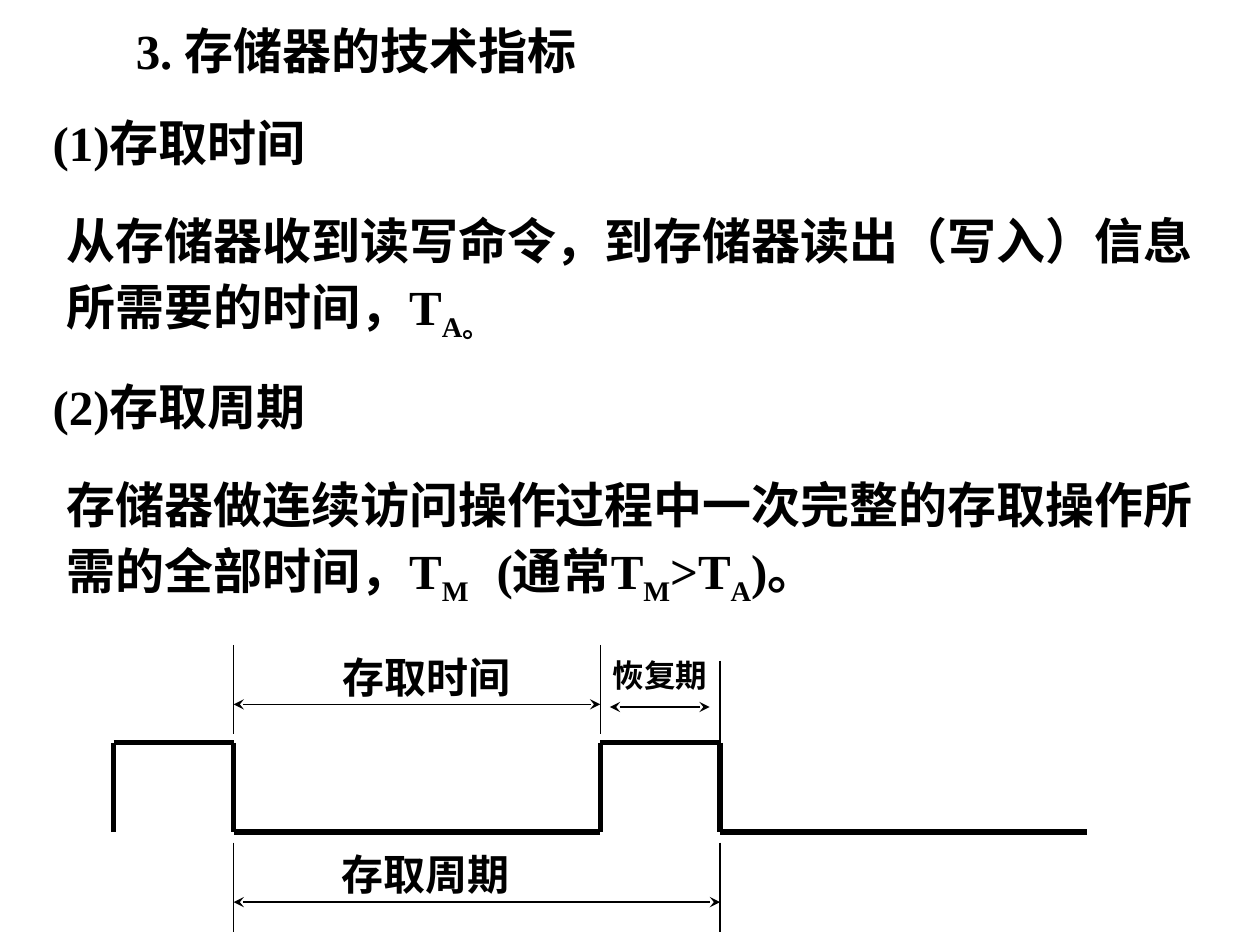
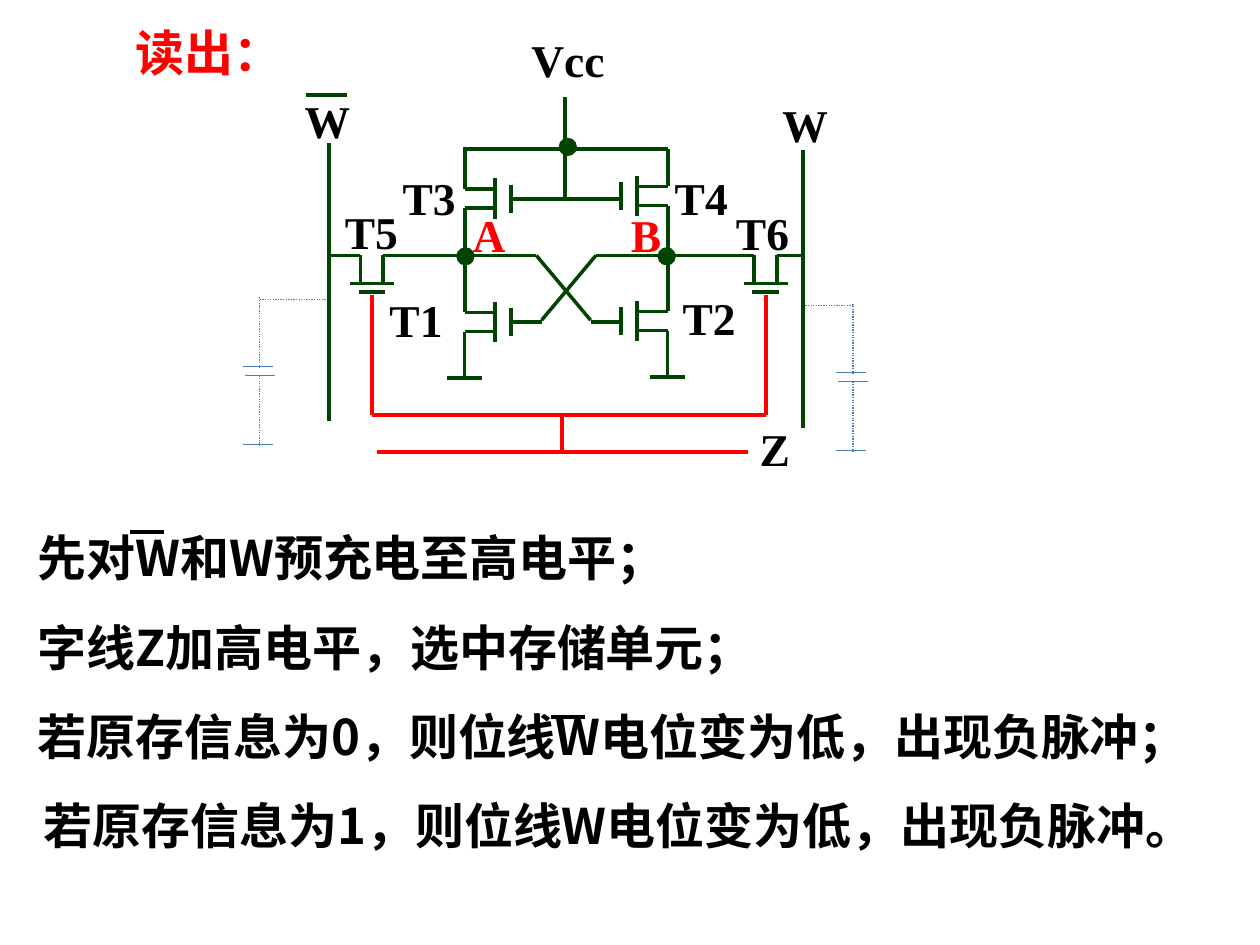
from itertools import pairwise
from lxml.etree import SubElement
from pptx import Presentation
from pptx.dml.color import RGBColor
from pptx.enum.dml import MSO_LINE_DASH_STYLE as DASH
from pptx.enum.shapes import MSO_CONNECTOR as CONN, MSO_SHAPE as SHAPE
from pptx.enum.text import MSO_AUTO_SIZE as AUTO, PP_ALIGN as ALIGN
from pptx.oxml.ns import qn
from pptx.util import Pt

SERIF, SANS = "Times New Roman", "Noto Sans CJK SC"
BLACK, RED, GREEN, BLUE = "000000", "FF0000", "004400", "4B7EBC"
HEAD = {"size": 28, "font": SERIF}
BODY = {"size": 28, "font": SANS}
LABEL = {"size": 26, "font": SERIF}


def rgb(value):
    """Return the colour for a hex string."""
    return RGBColor.from_string(value)


def text(s, x, y, w, h, runs, size=28, font=SERIF, color=BLACK, align=None,
         leading=None, wrap=True):
    """Place a bold text box; a run is a string or (string, rPr attributes)."""
    tf = s.shapes.add_textbox(Pt(x), Pt(y), Pt(w), Pt(h)).text_frame
    tf.word_wrap = wrap
    tf.auto_size = AUTO.SHAPE_TO_FIT_TEXT
    p = tf.paragraphs[0]
    p.alignment = align
    if leading:
        p.line_spacing = Pt(leading)
    for run in [runs] if isinstance(runs, str) else runs:
        words, extra = (run, {}) if isinstance(run, str) else run
        r = p.add_run()
        r.text = words
        for name, value in {"size": Pt(size), "name": font, "bold": True}.items():
            setattr(r.font, name, value)
        r.font.color.rgb = rgb(color)
        props = r._r.get_or_add_rPr()
        SubElement(props, qn("a:ea")).set("typeface", SANS)
        for name, value in extra.items():
            props.set(name, value)


def wire(s, points, color=BLACK, width=0.75, dash=None, arrows=False):
    """Join successive points with straight connectors."""
    for (x1, y1), (x2, y2) in pairwise(points):
        c = s.shapes.add_connector(CONN.STRAIGHT, Pt(x1), Pt(y1), Pt(x2), Pt(y2))
        c.line.color.rgb = rgb(color)
        c.line.width = Pt(width)
        if dash:
            c.line.dash_style = dash
        if arrows:
            ln = c.line._get_or_add_ln()
            for end in ("a:headEnd", "a:tailEnd"):
                SubElement(ln, qn(end)).set("type", "stealth")
        SubElement(c._element.spPr, qn("a:effectLst"))


def dot(s, x, y, size=10.5):
    """Draw a junction centred on a point."""
    d = s.shapes.add_shape(SHAPE.OVAL, Pt(x - size / 2), Pt(y - size / 2), Pt(size), Pt(size))
    d.shadow.inherit = False
    d.fill.solid()
    d.fill.fore_color.rgb = rgb(GREEN)
    d.line.fill.background()


def definition(s, x, y, heading, body):
    """Place a numbered heading with its explanation below."""
    text(s, x, y, 288, 41, heading, **HEAD)
    text(s, x + 8, y + 48, 666, 92, body, leading=42, **HEAD)


def timing_diagram(s, x, y):
    """Draw the access pulse train with its dimension arrows."""
    high, low = y + 56, y + 107
    start, fall, rise, fall2, end = (x + d for d in (0, 68.5, 278, 346.5, 556))
    wire(s, [(start, low), (start, high), (fall, high), (fall, low), (rise, low),
             (rise, high), (fall2, high), (fall2, low), (end, low)], width=3)
    for gx, top, bottom in ((fall, 0, 51), (rise, 0, 51), (fall2, 9, 60),
                            (fall, 113, 164), (fall2, 113, 164)):
        wire(s, [(gx, y + top), (gx, y + bottom)])
    for x1, x2, dy in ((fall, rise, 34), (rise + 5.5, fall2 - 6, 35.5), (fall, fall2, 147)):
        wire(s, [(x1, y + dy), (x2, y + dy)], arrows=True)
    for words, dx, dy, size in (("存取时间", 108.5, 0, 24), ("恢复期", 242, 3, 18),
                                ("存取周期", 108, 113, 24)):
        text(s, x + dx, y + dy, 140.5, size * 1.5, words, size, SANS, align=ALIGN.CENTER)


def transistor(s, axis, side, mid):
    """Draw a vertical transistor: two leads, channel and gate."""
    rail, channel, gate = (axis + side * d for d in (58, 40.5, 31.5))
    for dy in (-5.5, 5.5):
        wire(s, [(rail, mid + dy), (channel, mid + dy)], GREEN, 2)
    wire(s, [(channel, mid - 11.5), (channel, mid + 11.5)], GREEN, 2)
    wire(s, [(gate, mid - 8), (gate, mid + 8)], GREEN, 2)


def half_cell(s, axis, y, side, load, driver, access, bit_top):
    """Draw one side of the cell, mirrored about the axis by side."""
    def at(distance, dy):
        return axis + side * distance, y + dy

    def green(*points, width=2.25):
        wire(s, [at(*p) for p in points], GREEN, width)

    node = 131
    for mid in (load, driver):
        transistor(s, axis, side, y + mid)
    green((58, 70), (58, load - 5.5))
    green((58, load + 5.5), (58, node), (58, driver - 5.5))
    green((58, driver + 5.5), (58, driver + 32), width=2)
    green((48, driver + 32), (68, driver + 32), width=2)
    green((58, node), (17, node))
    green((17, node), (-14, 168), width=2)
    green((-14, 169), (-31.5, 169), width=2)
    green((135.5, node), (access + 6.5, node), (access + 6.5, 146))
    green((58, node), (access - 6.5, node), (access - 6.5, 146))
    green((access - 12.5, 147), (access + 12.5, 147))
    green((access - 7.5, 152), (access + 7.5, 152))
    green((135.5, bit_top), (135.5, bit_top + 158.5))
    wire(s, [at(access, 153.5), at(access, 222)], RED, 2.25)
    dot(s, *at(57.5, node + 0.5))


def memory_cell(s, x, y, w):
    """Draw the six-transistor cell with its labels."""
    axis = x + w / 2
    half_cell(s, axis, y, -1, 98.5, 169, 111, 67)
    half_cell(s, axis, y, 1, 97, 168.5, 114, 71)
    for x1, y1, x2, y2, color in ((-59, 70, 58, 70, GREEN), (-0.5, 40.5, -0.5, 98.5, GREEN),
                                  (-32, 98.5, 31, 98.5, GREEN), (-148.5, 39.5, -125.5, 39.5, GREEN),
                                  (-111, 222, 114, 222, RED), (-2.5, 222, -2.5, 243.5, RED),
                                  (-108, 243.5, 104, 243.5, RED)):
        wire(s, [(axis + x1, y + y1), (axis + x2, y + y2)], color, 2.25)
    dot(s, axis + 1, y + 69)
    for words, dx, dy, width in (("Vcc", 129.5, 0, 70.5), ("T3", 56, 78.5, 50.5),
                                 ("T1", 48.5, 148.5, 50.5), ("T4", 211.5, 78.5, 50.5),
                                 ("T2", 216, 147, 50.5), ("T5", 23, 98, 47),
                                 ("T6", 246.5, 98.5, 52), ("Z", 260, 222, 44),
                                 ("W", 0, 34.5, 51), ("W", 273, 37, 34)):
        text(s, x + dx, y + dy, width, 38, words, **LABEL)
    for words, dx in (("A", 96), ("B", 186.5)):
        text(s, x + dx, y + 99.5, 44.5, 38, words, color=RED, **LABEL)


def bit_capacitor(s, x, y, bit_line):
    """Draw a dotted stray capacitor tied to a bit line."""
    lead = x + 9.5
    for top, bottom in ((0, 40), (44.5, 85)):
        wire(s, [(lead, y + top), (lead, y + bottom)], BLUE, dash=DASH.ROUND_DOT)
    wire(s, [(lead, y + 1), (bit_line, y + 1)], BLUE, dash=DASH.ROUND_DOT)
    for dx, dy in ((0, 39.5), (1, 44.5), (0, 84)):
        wire(s, [(x + dx, y + dy), (x + dx + 17, y + dy)], BLUE)


def read_steps(s, x, y, w, pitch=51.1):
    """List the read steps at an equal pitch, with bars over inverted W."""
    steps = (("先对W和W预充电至高电平；", 0), ("字线Z加高电平，选中存储单元；", 0),
             ("若原存信息为0，则位线W电位变为低，出现负脉冲；", 0),
             ("若原存信息为1，则位线W电位变为低，出现负脉冲。", 3.5))
    for i, (words, indent) in enumerate(steps):
        text(s, x + indent, y + i * pitch, w, 41, words, **BODY)
    for dx, dy in ((60, 6), (300.5, 2 * pitch + 9.5)):
        wire(s, [(x + dx, y + dy), (x + dx + 19.5, y + dy)], width=2.25)


def metrics_slide(prs):
    """Build the slide on memory metrics."""
    s = prs.slides.add_slide(prs.slide_layouts[6])
    sub = {"baseline": "-25000"}
    text(s, 70.5, 8, 420, 41, "3. 存储器的技术指标", **HEAD)
    definition(s, 23, 60.5, "(1)存取时间",
               ["从存储器收到读写命令，到存储器读出（写入）信息所需要的时间，T", ("A。", sub)])
    definition(s, 23, 211.5, "(2)存取周期",
               ["存储器做连续访问操作过程中一次完整的存取操作所需的全部时间，T", ("M", sub),
                (" ", {**sub, "spc": "1200"}), "(通常T", ("M", sub), ">T", ("A", sub), ")。"])
    timing_diagram(s, 65, 368.5)


def read_slide(prs):
    """Build the slide on the read operation."""
    s = prs.slides.add_slide(prs.slide_layouts[6])
    text(s, 70.5, 9.5, 100, 41, "读出：", color=RED, wrap=False, **HEAD)
    memory_cell(s, 167, 15, 313)
    bit_capacitor(s, 139, 170, 186.5)
    bit_capacitor(s, 478, 173.5, 459.5)
    read_steps(s, 14.5, 298, 692)


prs = Presentation()
prs.slide_width, prs.slide_height = Pt(720), Pt(540)
metrics_slide(prs)
read_slide(prs)
prs.save("out.pptx")
